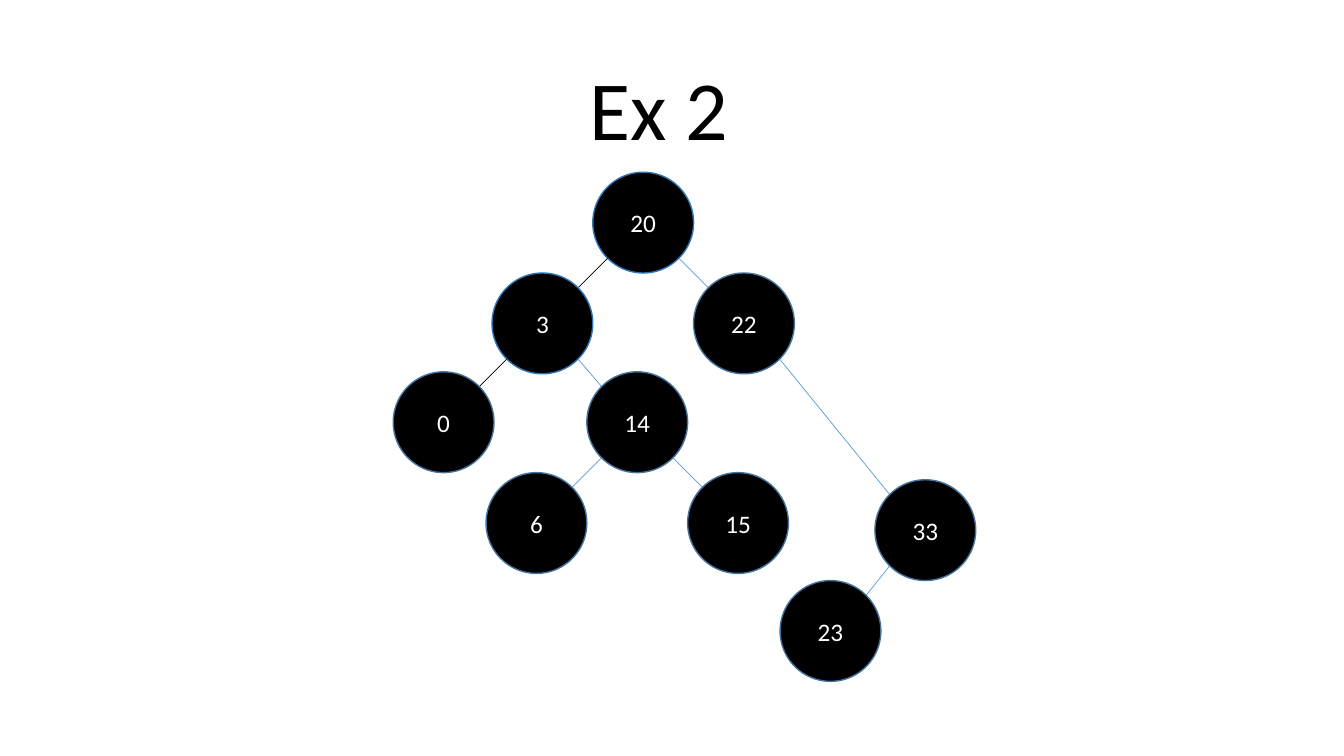
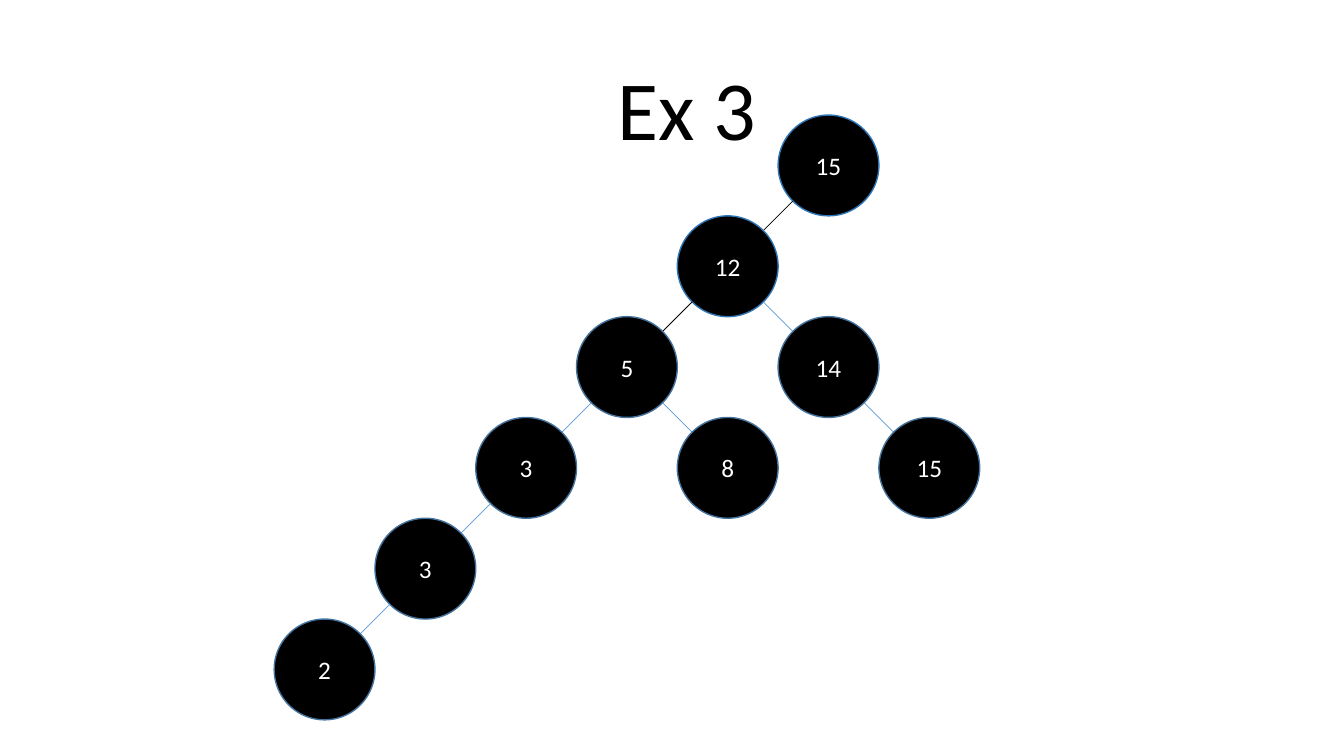
from dataclasses import dataclass
from math import sqrt
from typing import Optional

from lxml import etree
from pptx import Presentation
from pptx.dml.color import RGBColor
from pptx.enum.shapes import MSO_CONNECTOR, MSO_SHAPE
from pptx.enum.text import MSO_ANCHOR, PP_ALIGN
from pptx.oxml.ns import qn
from pptx.slide import Slide
from pptx.util import Cm, Pt

OVAL = MSO_SHAPE.OVAL
STRAIGHT = MSO_CONNECTOR.STRAIGHT
MIDDLE = MSO_ANCHOR.MIDDLE
CENTER = PP_ALIGN.CENTER
LEFT = PP_ALIGN.LEFT

DIAMETER = 2.54  # also the usual step between parent and child
DIAGONAL = DIAMETER / 2 / sqrt(2)  # from a centre to its corner points


@dataclass(frozen=True)
class Theme:
    font: str = "Calibri"
    title_size: Pt = Pt(60)
    node_size: Pt = Pt(18)
    outline_width: Pt = Pt(1)
    edge_width: Pt = Pt(0.5)
    black: RGBColor = RGBColor(0x00, 0x00, 0x00)
    white: RGBColor = RGBColor(0xFF, 0xFF, 0xFF)
    outline: RGBColor = RGBColor(0x43, 0x73, 0x9E)
    marked_outline: RGBColor = RGBColor(0x2E, 0x75, 0xB6)
    edge: RGBColor = RGBColor(0x5B, 0x9B, 0xD5)


THEME = Theme()


@dataclass(frozen=True)
class Node:
    """A tree node; across and down are its distances in cm from its parent."""
    value: int
    left: Optional["Node"] = None
    right: Optional["Node"] = None
    across: float = DIAMETER
    down: float = DIAMETER
    marked: bool = False


@dataclass(frozen=True)
class TreeSlide:
    title: str
    title_indent: float
    root: Node
    root_x: float  # centre of the root
    root_y: float


def add_title(slide: Slide, text: str, indent: float) -> None:
    shape = slide.shapes.add_textbox(Cm(2.33), Cm(1.01), Cm(29.21), Cm(3.68))
    frame = shape.text_frame
    frame.word_wrap = True
    frame.vertical_anchor = MIDDLE
    frame.margin_left = Cm(indent)
    paragraph = frame.paragraphs[0]
    paragraph.text = text
    paragraph.alignment = LEFT
    paragraph.line_spacing = 0.9
    paragraph.font.name = THEME.font
    paragraph.font.size = THEME.title_size
    paragraph.font.color.rgb = THEME.black


def add_circle(slide: Slide, node: Node, x: float, y: float) -> None:
    radius = DIAMETER / 2
    shape = slide.shapes.add_shape(
        OVAL, Cm(x - radius), Cm(y - radius), Cm(DIAMETER), Cm(DIAMETER))
    shape.shadow.inherit = False
    shape.fill.solid()
    shape.fill.fore_color.rgb = THEME.black
    shape.line.color.rgb = THEME.marked_outline if node.marked else THEME.outline
    shape.line.width = THEME.outline_width
    shape.text_frame.vertical_anchor = MIDDLE
    paragraph = shape.text_frame.paragraphs[0]
    paragraph.text = str(node.value)
    paragraph.alignment = CENTER
    paragraph.font.name = THEME.font
    paragraph.font.size = THEME.node_size
    paragraph.font.color.rgb = THEME.white


def add_edge(slide: Slide, start: tuple[float, float], end: tuple[float, float],
             color: RGBColor) -> None:
    connector = slide.shapes.add_connector(
        STRAIGHT, Cm(start[0]), Cm(start[1]), Cm(end[0]), Cm(end[1]))
    connector.line.color.rgb = color
    connector.line.width = THEME.edge_width
    etree.SubElement(connector._element.spPr, qn("a:effectLst"))


def add_tree(slide: Slide, node: Node, x: float, y: float) -> None:
    """Draw a node, then the edge and subtree of each child."""
    add_circle(slide, node, x, y)
    for child, side in ((node.left, -1), (node.right, 1)):
        if child is None:
            continue
        child_x, child_y = x + side * child.across, y + child.down
        # Left edges of marked nodes are black
        color = THEME.black if node.marked and side < 0 else THEME.edge
        add_edge(slide, (x + side * DIAGONAL, y + DIAGONAL),
                 (child_x - side * DIAGONAL, child_y - DIAGONAL), color)
        add_tree(slide, child, child_x, child_y)


# Content of the two trees
EXAMPLE_2 = Node(
    20, marked=True,
    left=Node(
        3, marked=True,
        left=Node(0, across=2.49, down=2.49),
        right=Node(14, Node(6), Node(15), across=2.39, down=2.49)),
    right=Node(
        22,
        right=Node(33, left=Node(23, across=2.39), across=4.57, down=5.21)))

EXAMPLE_3 = Node(
    15, marked=True,
    left=Node(
        12, marked=True,
        left=Node(5, left=Node(3, left=Node(3, left=Node(2))), right=Node(8)),
        right=Node(14, right=Node(15))))

TREE_SLIDES = (
    TreeSlide("Ex 2", 12.52, EXAMPLE_2, 16.21, 5.61),
    TreeSlide("Ex 3", 13.23, EXAMPLE_3, 20.88, 4.17),
)


def main() -> None:
    presentation = Presentation()
    presentation.slide_width = Cm(33.87)
    presentation.slide_height = Cm(19.05)
    blank_layout = presentation.slide_layouts[6]
    for content in TREE_SLIDES:
        slide = presentation.slides.add_slide(blank_layout)
        add_title(slide, content.title, content.title_indent)
        add_tree(slide, content.root, content.root_x, content.root_y)
    presentation.save("out.pptx")


main()
